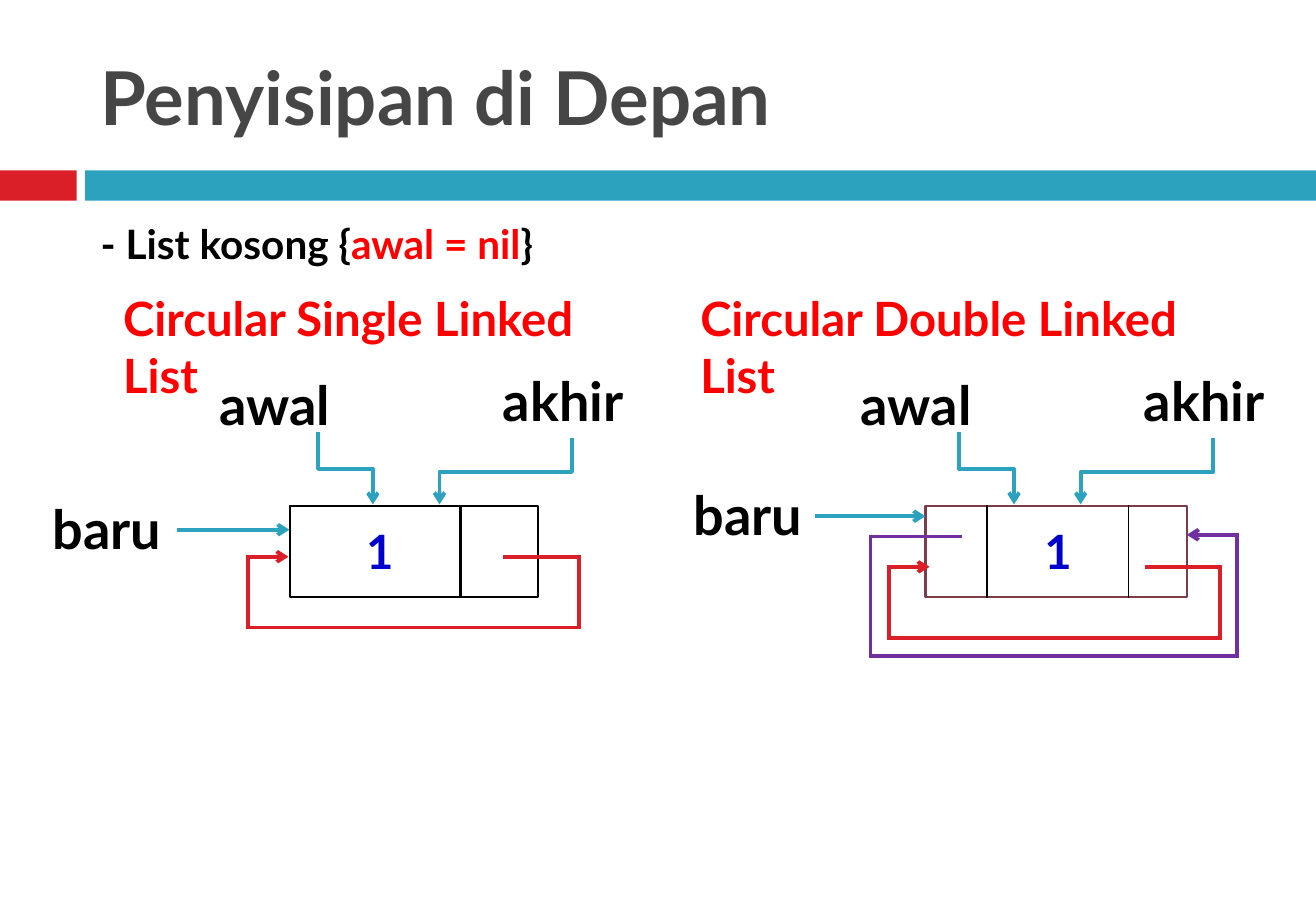
"""Build the slide on inserting at the front of an empty circular list."""
from itertools import pairwise
from lxml.etree import SubElement as Sub
from pptx import Presentation
from pptx.dml.color import RGBColor as Rgb
from pptx.enum.shapes import MSO_CONNECTOR as Kind, MSO_SHAPE as Shape
from pptx.enum.text import MSO_ANCHOR as Anchor, MSO_AUTO_SIZE as Auto, PP_ALIGN as Align
from pptx.oxml.ns import qn
from pptx.util import Pt

FONT = "Lato"
BLACK, WHITE, GRAY, BLUE = "000000", "FFFFFF", "464646", "0000CC"
TEAL, RED, VIOLET, PLUM, BRIGHT = "2DA2BF", "DA1F28", "7030A0", "7D3C4A", "FF0000"

TITLE = [("Penyisipan di Depan", GRAY)]
LEAD = [("- List kosong {", BLACK), ("awal = nil", BRIGHT), ("}", BLACK)]
BARS = [((0, 101, 45.5, 18), RED), ((50.5, 101, 729.5, 18), TEAL)]
NAMES = [("awal", 123, 216.5), ("akhir", 291, 214.5)]
BENDS = [((188.5, 257), (221, 299)), ((339, 260.5), (260.5, 299))]
LOOP = [(299.5, 330), (343, 330), (343, 372), (147, 372), (147, 330), (171, 330)]
BACK = [(569, 318), (516, 318), (516, 389), (733, 389), (733, 317), (703.5, 317)]
TOP, TALL = 300, 54
LISTS = [
    dict(head="Circular Single Linked List", at=66, wide=316, move=0, drop=0,
         box=(172, 147), edge=BLACK, thick=1.5, cuts=[273], one=210,
         baru=(24, 290), arrow=[(106, 314), (171.5, 314)], back=[]),
    dict(head="Circular Double Linked List", at=408, wide=325, move=380, drop=6,
         box=(548.5, 155), edge=PLUM, thick=1.5, cuts=[585, 669], one=612,
         baru=(404, 282), arrow=[(484, 306), (548.5, 306)], back=BACK),
]


def hue(code):
    """Turn a hex string into a colour."""
    return Rgb.from_string(code)


def write(para, runs, size):
    """Add bold runs to a paragraph."""
    para.alignment = Align.LEFT
    for words, code in runs:
        run = para.add_run()
        run.text = words
        font = run.font
        font.name, font.size, font.bold = FONT, Pt(size), True
        font.color.rgb = hue(code)


def label(words, x, y, w, size, code):
    """Place a text box."""
    frame = slide.shapes.add_textbox(Pt(x), Pt(y), Pt(w), Pt(size * 1.45)).text_frame
    frame.word_wrap = True
    write(frame.paragraphs[0], [(words, code)], size)


def block(area, fill, edge=None, thick=0):
    """Place a filled rectangle."""
    rect = slide.shapes.add_shape(Shape.RECTANGLE, *map(Pt, area))
    rect.shadow.inherit = False
    rect.fill.solid()
    rect.fill.fore_color.rgb = hue(fill)
    if edge:
        rect.line.color.rgb = hue(edge)
        rect.line.width = Pt(thick)
    else:
        rect.line.fill.background()


def line(start, end, code, thick=2.25, tip=False, kind=Kind.STRAIGHT):
    """Place a connector, with an open arrowhead if asked."""
    link = slide.shapes.add_connector(kind, *map(Pt, (*start, *end)))
    link.line.color.rgb = hue(code)
    link.line.width = Pt(thick)
    props = link.element.spPr
    edge = props.find(qn("a:ln"))
    edge.set("cap", "sq")
    if tip:
        Sub(edge, qn("a:tailEnd"), type="arrow")
    Sub(props, qn("a:effectLst"))
    return link


def route(spots, code):
    """Join points by straight lines, ending in an arrow."""
    for start, end in pairwise(spots):
        line(start, end, code, tip=end == spots[-1])


def bend(start, end):
    """Place an elbow arrow that leaves and arrives vertically."""
    (x, y), (u, v) = start, end
    mid, low = (x + u) / 2, (y + v) / 2
    half, rise = (v - y) / 2, abs(u - x) / 2
    side = half if u > x else -half
    link = line((mid + side, low - rise), (mid - side, low + rise), TEAL,
                tip=True, kind=Kind.ELBOW)
    turn = 270 if u > x else 90
    link.element.spPr.find(qn("a:xfrm")).set("rot", str(turn * 60000))


def shift(spots, dx, dy=0):
    """Move points by an offset."""
    return [(x + dx, y + dy) for x, y in spots]


def fit(holder, area):
    """Move a placeholder and return its text frame."""
    holder.left, holder.top, holder.width, holder.height = map(Pt, area)
    frame = holder.text_frame
    frame.word_wrap, frame.auto_size = True, Auto.NONE
    return frame


deck = Presentation()
deck.slide_width, deck.slide_height = Pt(780), Pt(540)
slide = deck.slides.add_slide(deck.slide_layouts[1])

for area, code in BARS:
    block(area, code)

frame = fit(slide.shapes.title, (52.5, 18, 695.5, 78))
frame.vertical_anchor = Anchor.MIDDLE
write(frame.paragraphs[0], TITLE, 44)

frame = fit(slide.placeholders[1], (52.5, 126, 695.5, 354))
frame.vertical_anchor = Anchor.TOP
para = frame.paragraphs[0]
para.space_before = Pt(7)
write(para, LEAD, 24)
props = para._p.get_or_add_pPr()
props.set("marL", str(Pt(40)))
props.set("indent", str(Pt(-40)))
Sub(props, qn("a:buNone"))

for part in LISTS:
    move = part["move"]
    left, wide = part["box"]
    block((left, TOP, wide, TALL), WHITE, part["edge"], part["thick"])
    for x in part["cuts"]:
        line((x, TOP), (x, TOP + TALL), BLACK, 1.5 if move == 0 else 0.79)
    for words, x, y in NAMES:
        label(words, x + move, y, 91, 32, BLACK)
    label("baru", *part["baru"], 91, 32, BLACK)
    label("1", part["one"], 306, 45, 28, BLUE)
    label(part["head"], part["at"], 168, part["wide"], 28, BRIGHT)
    for spots in BENDS:
        bend(*shift(spots, move))
    route(part["arrow"], TEAL)
    route(shift(LOOP, move, part["drop"]), RED)
    route(part["back"], VIOLET)

deck.save("out.pptx")
